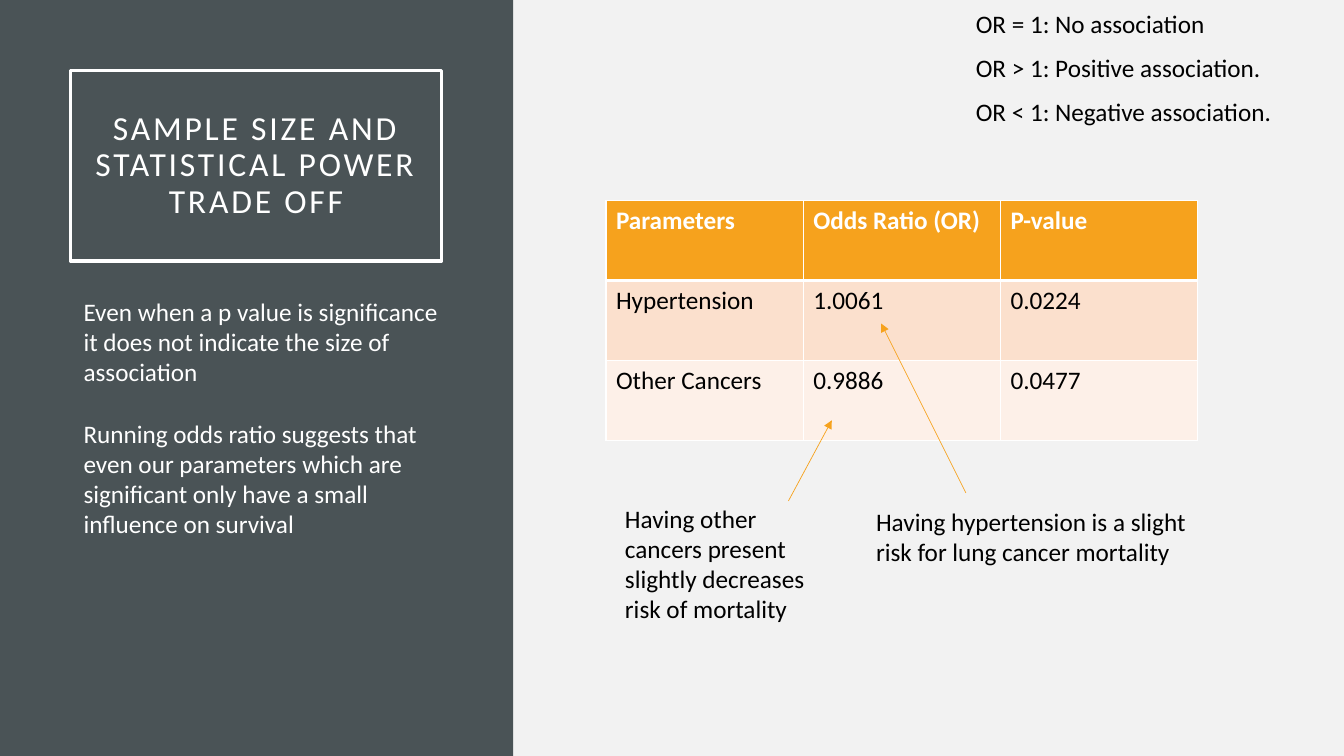
from lxml import etree
from pptx import Presentation
from pptx.dml.color import RGBColor
from pptx.enum import shapes, text
from pptx.oxml import ns
from pptx.util import Inches, Pt

THEME = {
    "page": RGBColor.from_string("F2F2F2"),
    "panel": RGBColor.from_string("4A5356"),
    "accent": RGBColor.from_string("F6A21D"),
    "bands": [RGBColor.from_string(c) for c in ("F6A21D", "FBE0CD", "FDF0E8")],
    "light": RGBColor.from_string("FFFFFF"),
    "dark": RGBColor.from_string("000000"),
    "font": "Calibri",
    "title": Pt(24),
    "body": Pt(18),
}


def write(tf, lines, color, size=THEME["body"], bold=False, **layout):
    tf.word_wrap = True
    for i, line in enumerate(lines):
        p = tf.paragraphs[0] if i == 0 else tf.add_paragraph()
        p.text = line
        for name, value in layout.items():
            setattr(p, name, value)
        for r in p.runs:
            for name, value in {"name": THEME["font"], "size": size, "bold": bold}.items():
                setattr(r.font, name, value)
            r.font.color.rgb = color


def border(cell, side, width):
    ln = etree.SubElement(cell._tc.get_or_add_tcPr(), ns.qn(f"a:{side}"), w=str(Pt(width)))
    fill = etree.SubElement(ln, ns.qn("a:solidFill"))
    etree.SubElement(fill, ns.qn("a:srgbClr"), val=str(THEME["light"]))


prs = Presentation()
prs.slide_width, prs.slide_height = Inches(13.33), Inches(7.5)
s = prs.slides.add_slide(prs.slide_layouts[6])
s.background.fill.solid()
s.background.fill.fore_color.rgb = THEME["page"]

panel = s.shapes.add_shape(shapes.MSO_SHAPE.RECTANGLE, 0, 0, Inches(5.09), Inches(7.5))
panel.shadow.inherit = False
panel.fill.solid()
panel.fill.fore_color.rgb = THEME["panel"]
panel.line.fill.background()

title = s.shapes.add_shape(
    shapes.MSO_SHAPE.RECTANGLE, Inches(0.7), Inches(0.7), Inches(3.68), Inches(1.89))
title.shadow.inherit = False
title.fill.background()
title.line.color.rgb = THEME["light"]
title.line.width = Pt(2.5)
tf = title.text_frame
tf.vertical_anchor = text.MSO_ANCHOR.MIDDLE
for side in ("left", "top", "right", "bottom"):
    setattr(tf, f"margin_{side}", Inches(0.2))
write(tf, ["SAMPLE SIZE AND STATISTICAL POWER\vTRADE OFF"], THEME["light"],
      THEME["title"], alignment=text.PP_ALIGN.CENTER, line_spacing=0.9)
for r in tf.paragraphs[0].runs:
    r.font._element.set("spc", "200")

rows = [
    ("Parameters", "Odds Ratio (OR)", "P-value"),
    ("Hypertension", "1.0061", "0.0224"),
    ("Other Cancers", "0.9886", "0.0477"),
]
table = s.shapes.add_table(
    len(rows), len(rows[0]), Inches(6.01), Inches(1.99), Inches(5.87), Inches(2.38)).table
for i, row in enumerate(rows):
    header = i == 0
    for j, value in enumerate(row):
        cell = table.cell(i, j)
        write(cell.text_frame, [value], THEME["light" if header else "dark"], bold=header)
        for side in ("lnL", "lnR", "lnT", "lnB"):
            under_header = (i, side) in ((0, "lnB"), (1, "lnT"))
            border(cell, side, 3 if under_header else 1)
        cell.fill.solid()
        cell.fill.fore_color.rgb = THEME["bands"][i]

notes = [
    (9.58, 0.03, 3.68, 1.42, "dark", 10,
     ["OR = 1: No association", "OR > 1: Positive association.",
      "OR < 1: Negative association."]),
    (0.73, 2.89, 3.82, 2.52, "light", 22,
     ["Even when a p value is significance it does not indicate the size of association",
      "Running odds ratio suggests that even our parameters which are significant "
      "only have a small influence on survival"]),
    (8.59, 4.97, 3.68, 0.71, "dark", 0,
     ["Having hypertension is a slight risk for lung cancer mortality"]),
    (6.1, 4.94, 2.32, 1.31, "dark", 0,
     ["Having other cancers present slightly decreases risk of mortality"]),
]
for left, top, width, height, color, gap, lines in notes:
    box = s.shapes.add_textbox(Inches(left), Inches(top), Inches(width), Inches(height))
    write(box.text_frame, lines, THEME[color])
    for p in box.text_frame.paragraphs[1:]:
        p.space_before = Pt(gap)

for ends in ((9.58, 4.89, 8.74, 3.21), (7.82, 4.97, 8.25, 4.17)):
    arrow = s.shapes.add_connector(
        shapes.MSO_CONNECTOR.STRAIGHT, *[Inches(v) for v in ends])
    arrow.line.color.rgb = THEME["accent"]
    arrow.line.width = Pt(0.5)
    etree.SubElement(arrow.line._get_or_add_ln(), ns.qn("a:tailEnd"), type="triangle")
    etree.SubElement(arrow._element.spPr, ns.qn("a:effectLst"))

prs.save("out.pptx")
